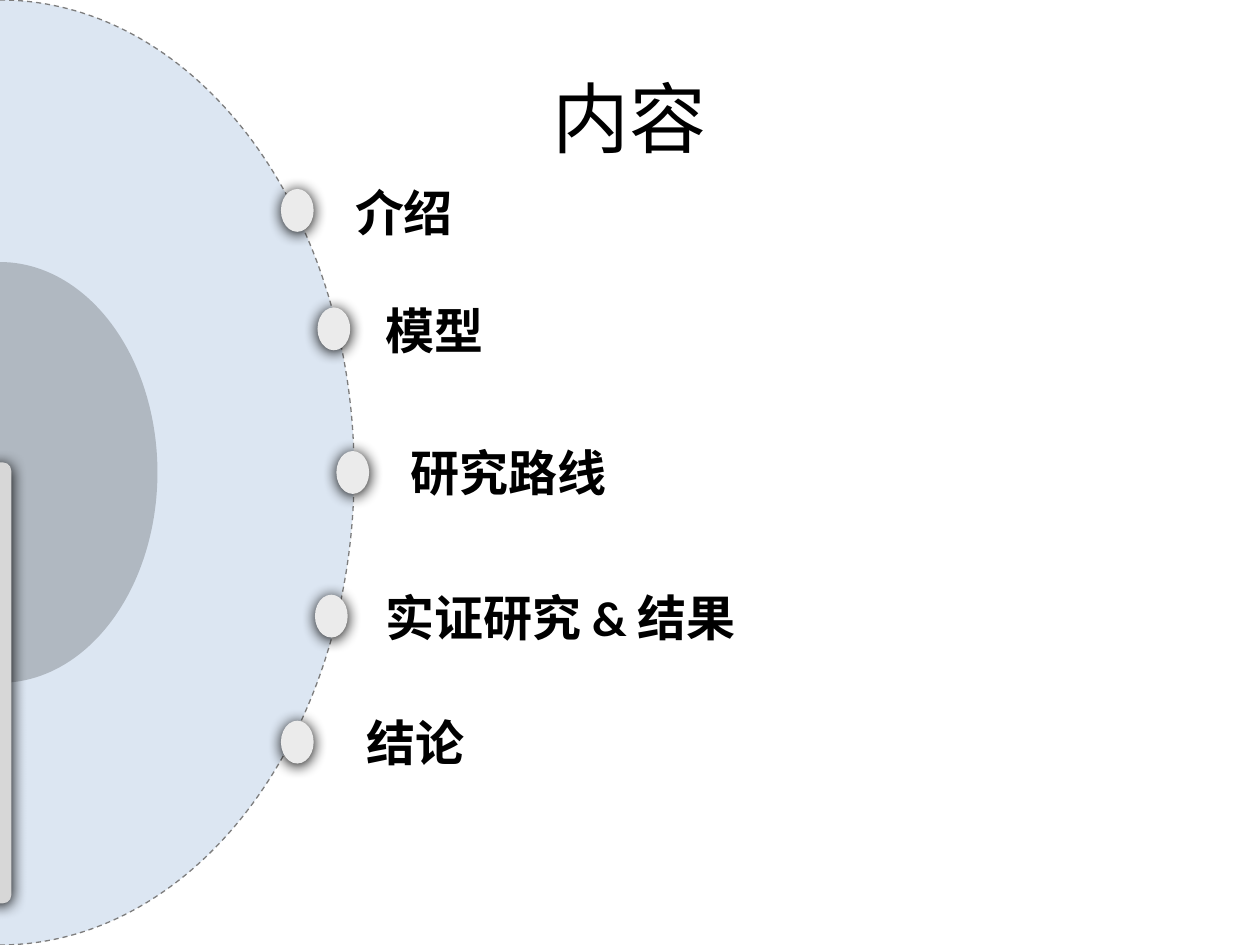
from dataclasses import dataclass

from lxml import etree
from pptx import Presentation
from pptx import util as u
from pptx.dml.color import RGBColor
from pptx.enum import dml, shapes, text
from pptx.oxml.ns import qn

PX = 9144  # EMU per px, 100 px to the inch
PAGE_WIDTH, PAGE_HEIGHT = 1000, 750


@dataclass(frozen=True)
class Theme:
    font: str = "Calibri"
    title_size: int = 44
    label_size: int = 28
    ink: str = "000000"
    disc: str = "DCE6F2"
    rim: str = "7D7D7D"
    dot: str = "EBEBEB"
    bar: str = "D7D7D7"


THEME = Theme()
DOT_SIZE = (26, 34)
LABEL_SIZE = (600, 57)

# wording, label corner, dot corner
TOPICS = [
    ("介绍", (272, 140), (223, 150)),
    ("模型", (296, 233), (252, 244)),
    ("研究路线", (316, 346), (267, 358)),
    ("实证研究 & 结果", (296, 461), (250, 472)),
    ("结论", (281, 560), (223, 572)),
]


def scale(box):
    return [u.Emu(length * PX) for length in box]


def add_filled(page, kind, box, color):
    shape = page.shapes.add_shape(kind, *scale(box))
    shape.shadow.inherit = False
    shape.fill.solid()
    shape.fill.fore_color.rgb = RGBColor.from_string(color)
    shape.line.fill.background()
    return shape


def add_soft_shadow(shape):
    effects = shape._element.spPr.find(qn("a:effectLst"))
    shadow = etree.SubElement(
        effects, qn("a:outerShdw"), blurRad=str(u.Pt(8.5)),
        dist=str(u.Pt(1)), dir="5400000", algn="ctr", rotWithShape="0")
    color = etree.SubElement(shadow, qn("a:srgbClr"), val=THEME.ink)
    etree.SubElement(color, qn("a:alpha"), val="100000")


def set_opacity(shape, percent):
    color = shape._element.spPr.find(qn("a:solidFill"))[0]
    etree.SubElement(color, qn("a:alpha"), val=str(percent * 1000))


def add_text(page, words, box, size, bold=False, align=text.PP_ALIGN.LEFT):
    frame = page.shapes.add_textbox(*scale(box)).text_frame
    frame.word_wrap = True
    frame.vertical_anchor = text.MSO_ANCHOR.MIDDLE
    para = frame.paragraphs[0]
    para.alignment = align
    span = para.add_run()
    span.text = words
    span.font.name = THEME.font
    span.font.size = u.Pt(size)
    span.font.bold = bold
    span.font.color.rgb = RGBColor.from_string(THEME.ink)


def add_half_disc(page, radius_x, radius_y, color):
    """Right half of an ellipse centred on the left edge of the page."""
    box = (-radius_x, PAGE_HEIGHT // 2 - radius_y, 2 * radius_x, 2 * radius_y)
    disc = add_filled(page, shapes.MSO_SHAPE.ARC, box, color)
    disc.adjustments[0] = 162  # 270 degrees
    disc.adjustments[1] = 54  # 90 degrees
    return disc


def add_dial(page):
    outer = add_half_disc(page, 281, 375, THEME.disc)
    outer.line.color.rgb = RGBColor.from_string(THEME.rim)
    outer.line.width = u.Pt(0.75)
    outer.line.dash_style = dml.MSO_LINE.DASH

    inner = add_half_disc(page, 125, 167, THEME.ink)
    set_opacity(inner, 20)

    bar = add_filled(page, shapes.MSO_SHAPE.ROUNDED_RECTANGLE,
                     (-10, 367, 19, 350), THEME.bar)
    bar.adjustments[0] = 0.35
    add_soft_shadow(bar)


def add_topic(page, words, label_corner, dot_corner):
    add_text(page, words, label_corner + LABEL_SIZE, THEME.label_size, bold=True)
    dot = add_filled(page, shapes.MSO_SHAPE.OVAL, dot_corner + DOT_SIZE, THEME.dot)
    add_soft_shadow(dot)


def main():
    deck = Presentation()
    deck.slide_width, deck.slide_height = scale((PAGE_WIDTH, PAGE_HEIGHT))
    page = deck.slides.add_slide(deck.slide_layouts[6])
    add_dial(page)
    add_text(page, "内容", (50, 30, 900, 125), THEME.title_size,
             align=text.PP_ALIGN.CENTER)
    for topic in TOPICS:
        add_topic(page, *topic)
    deck.save("out.pptx")


if __name__ == "__main__":
    main()
